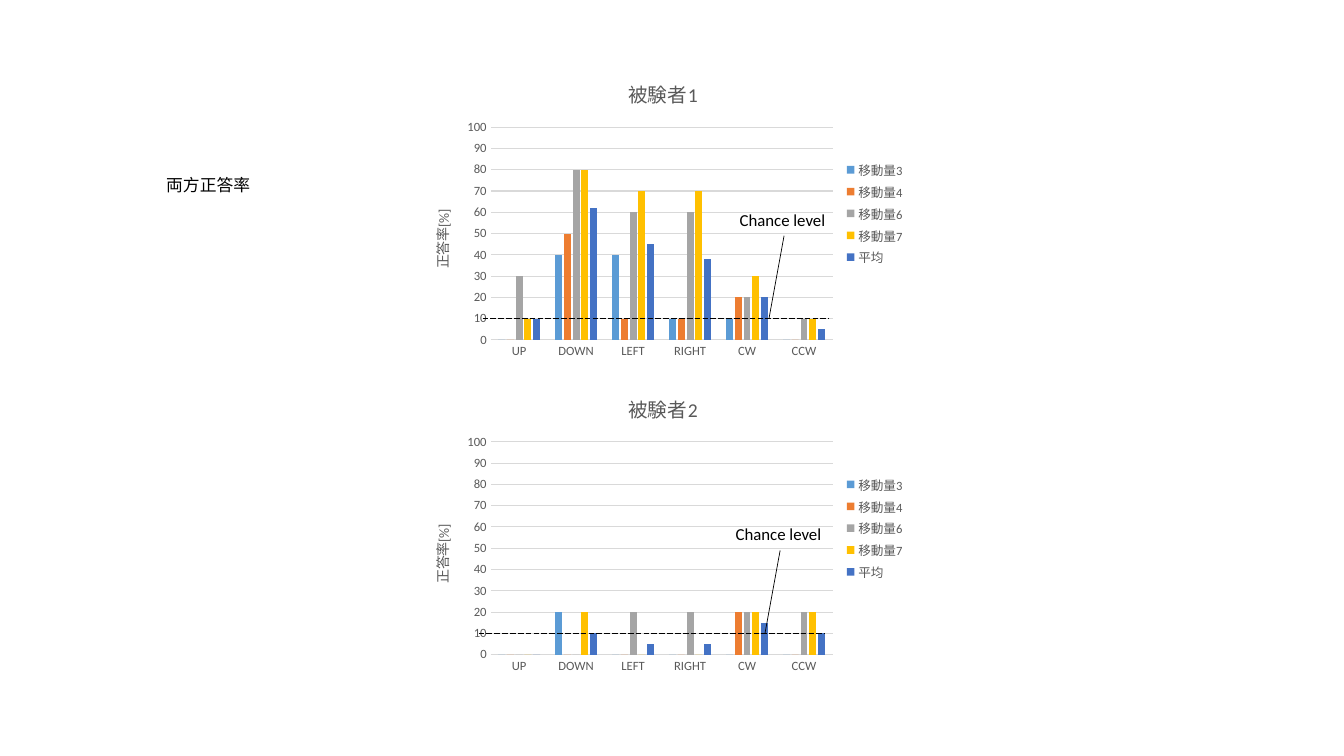
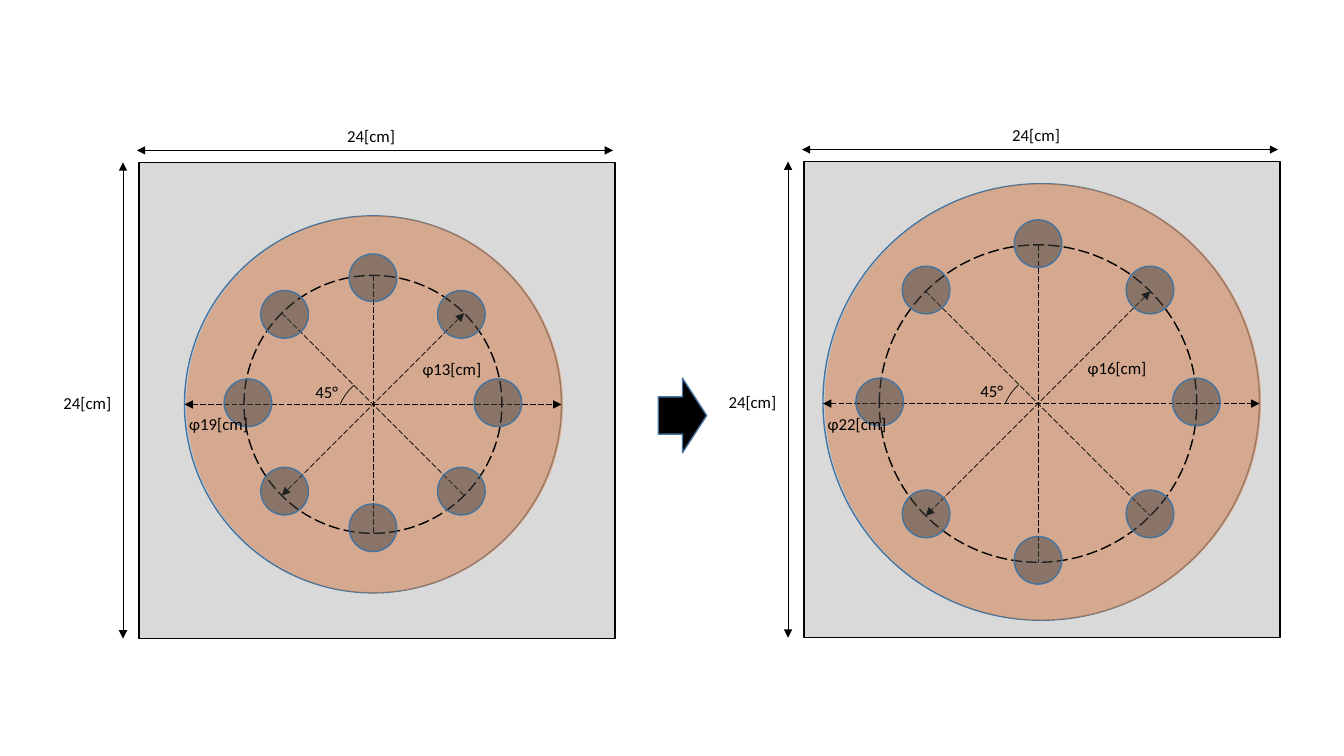
from dataclasses import dataclass
from math import cos, pi, sin

from lxml import etree
from pptx import Presentation
from pptx.chart import data as cd
from pptx.dml.color import RGBColor
from pptx.enum import chart as ce, dml, shapes
from pptx.oxml.ns import qn
from pptx.util import Cm, Pt


@dataclass(frozen=True)
class Theme:
    font: str = "Calibri"
    black: str = "000000"
    gray: str = "595959"
    grid: str = "D9D9D9"
    edge: str = "43739E"
    disc: str = "BDD7EE"
    tint: str = "ED7D31"
    spot: str = "404040"
    bars: tuple = ("5B9BD5", "ED7D31", "A5A5A5", "FFC000", "4472C4")
    head: float = 14
    body: float = 12
    axis: float = 10
    tick: float = 9
    thin: float = 0.5
    rule: float = 0.75
    thick: float = 1


T = Theme()
CATS = ("UP", "DOWN", "LEFT", "RIGHT", "CW", "CCW")
MOVES = ("移動量3", "移動量4", "移動量6", "移動量7")
FIRST = ((0, 40, 40, 10, 10, 0), (0, 50, 10, 10, 20, 0),
         (30, 80, 60, 60, 20, 10), (10, 80, 70, 70, 30, 10))
SECOND = ((0, 20, 0, 0, 0, 0), (0, 0, 0, 0, 20, 0),
          (0, 0, 20, 20, 20, 20), (0, 20, 0, 0, 20, 20))
SCALE = 0.5  # drawn cm per real cm


# Text and lines
def style(font, size, color):
    font.name, font.size, font.bold = T.font, Pt(size), False
    font.color.rgb = RGBColor.from_string(color)


def write(frame, words, size, color):
    par = frame.paragraphs[0]
    run = par.add_run()
    run.text = words
    style(run.font, size, color)
    return par


def label(slide, words, x, y, w, h, tight=False):
    frame = slide.shapes.add_textbox(Cm(x), Cm(y), Cm(w), Cm(h)).text_frame
    frame.word_wrap = True
    par = write(frame, words, T.body, T.black)
    if tight:
        par.line_spacing = 0.9


def ink(line, color, width, dash=False):
    line.color.rgb = RGBColor.from_string(color)
    line.width = Pt(width)
    if dash:
        line.dash_style = dml.MSO_LINE.LONG_DASH


def stroke(slide, x1, y1, x2, y2, dash=False, tips=False):
    item = slide.shapes.add_connector(
        shapes.MSO_CONNECTOR.STRAIGHT, Cm(x1), Cm(y1), Cm(x2), Cm(y2))
    ink(item.line, T.black, T.thin, dash)
    props = item.element.spPr
    if tips:
        for end in ("a:headEnd", "a:tailEnd"):
            etree.SubElement(props.find(qn("a:ln")), qn(end), type="triangle")
    etree.SubElement(props, qn("a:effectLst"))


# Filled shapes
def form(slide, kind, x, y, w, h, fill=None, edge=None,
         width=T.thick, dash=False, clear=False):
    item = slide.shapes.add_shape(kind, Cm(x), Cm(y), Cm(w), Cm(h))
    item.shadow.inherit = False
    if fill:
        item.fill.solid()
        item.fill.fore_color.rgb = RGBColor.from_string(fill)
    else:
        item.fill.background()
    if clear:
        tone = item.element.spPr.find(".//" + qn("a:srgbClr"))
        etree.SubElement(tone, qn("a:alpha"), val="50000")
    if edge:
        ink(item.line, edge, width, dash)
    else:
        item.line.fill.background()
    return item


def round_at(slide, x, y, size, **look):
    form(slide, shapes.MSO_SHAPE.OVAL, x - size / 2, y - size / 2,
         size, size, **look)


# Bar chart with its chance level
def bars(slide, name, rows, x, y):
    data = cd.CategoryChartData()
    data.categories = CATS
    for move, row in zip(MOVES, rows):
        data.add_series(move, row)
    data.add_series("平均", [round(sum(col) / len(col)) for col in zip(*rows)])
    chart = slide.shapes.add_chart(
        ce.XL_CHART_TYPE.COLUMN_CLUSTERED,
        Cm(x), Cm(y), Cm(12.7), Cm(7.62), data).chart
    style(chart.font, T.axis, T.black)
    chart.has_title = True
    write(chart.chart_title.text_frame, name, T.head, T.gray)

    chart.has_legend = True
    chart.legend.position = ce.XL_LEGEND_POSITION.RIGHT
    chart.legend.include_in_layout = False
    style(chart.legend.font, T.tick, T.gray)

    plot = chart.plots[0]
    plot.gap_width, plot.overlap = 219, -27
    plot.vary_by_categories = False
    for series, color in zip(plot.series, T.bars):
        series.format.fill.solid()
        series.format.fill.fore_color.rgb = RGBColor.from_string(color)

    cat, val = chart.category_axis, chart.value_axis
    for axis in (cat, val):
        axis.major_tick_mark = axis.minor_tick_mark = ce.XL_TICK_MARK.NONE
        style(axis.tick_labels.font, T.tick, T.gray)
    ink(cat.format.line, T.grid, T.rule)
    val.format.line.fill.background()
    val.minimum_scale, val.maximum_scale, val.major_unit = 0, 100, 10
    val.has_major_gridlines = True
    ink(val.major_gridlines.format.line, T.grid, T.rule)
    frame = val.axis_title.text_frame
    write(frame, "正答率[%]", T.axis, T.gray)
    frame._txBody.bodyPr.set("rot", "-5400000")


def chance(slide, x, y):
    level = y + 6.45
    stroke(slide, x + 1.8, level, x + 10.52, level, dash=True)
    label(slide, "Chance level", x + 8.03, y + 3.58, 2.72, 0.76)
    stroke(slide, x + 9.4, y + 4.37, x + 9.02, level)


# Square plate with a disc and a ring of eight spots around (x, y)
def plate(slide, x, y, disc, ring, reach, shift):
    side, span, gap = 24 * SCALE, disc * SCALE, ring * SCALE
    left, top = x - 5.9, y - 6.1
    form(slide, shapes.MSO_SHAPE.RECTANGLE, left, top, side, side,
         fill=T.grid, edge=T.black)
    mid = x + shift
    round_at(slide, mid, y - shift / 2, span, fill=T.disc, edge=T.edge)
    round_at(slide, mid + 0.04, y - shift / 2, span, fill=T.tint, clear=True)

    # Axes of the ring
    half, diag = gap / 2, gap / 2 * cos(pi / 4)
    stroke(slide, mid - span / 2, y, mid + span / 2, y, dash=True, tips=True)
    stroke(slide, x, y - half, x, y + half, dash=True)
    stroke(slide, x - diag, y - diag, x + diag, y + diag, dash=True)
    stroke(slide, x + diag, y - diag, x - diag, y + diag, dash=True, tips=True)
    round_at(slide, x, y, gap, edge=T.black, dash=True)
    for step in range(8):
        turn = step * pi / 4
        round_at(slide, x + reach * cos(turn), y - 0.04 + reach * sin(turn),
                 1.2, fill=T.spot, edge=T.edge, clear=True)

    # Angle mark
    arc = form(slide, shapes.MSO_SHAPE.ARC, x - 0.92, y - 0.79, 2.54, 2.54,
               edge=T.black, width=T.thin)
    arc.adjustments[0], arc.adjustments[1] = 162, 178.2
    arc.rotation = 291.9

    # Dimensions
    stroke(slide, left - 0.05, y - 6.4, left - 0.05 + side, y - 6.4, tips=True)
    stroke(slide, x - 6.3, top, x - 6.3, top + side, tips=True)
    for words, dx, dy, w in (
            (f"φ{ring}[cm]", 1, -1.22, 2.15),
            ("45°", -1.7, -0.64, 1.42),
            ("24[cm]", -0.9, -7.1, 1.83),
            ("24[cm]", -8.05, -0.36, 1.83),
            (f"φ{disc}[cm]", -span / 2 - 0.13 + shift, 0.18, 2.15)):
        label(slide, words, x + dx, y + dy, w, 0.64, tight=True)


def main():
    deck = Presentation()
    deck.slide_width, deck.slide_height = Cm(33.87), Cm(19.05)
    blank = deck.slide_layouts[6]

    # Accuracy of both subjects
    page = deck.slides.add_slide(blank)
    x, tops = 10.36, (1.57, 9.5)
    for num, (rows, y) in enumerate(zip((FIRST, SECOND), tops), 1):
        bars(page, f"被験者{num}", rows, x, y)
    label(page, "両方正答率", 3.94, 4.27, 3.48, 0.76)
    for num, y in enumerate(tops):
        chance(page, x - 0.1 * num, y)

    # Plate before and after
    page = deck.slides.add_slide(blank)
    plate(page, 9.4, 10.19, disc=19, ring=13, reach=3.15, shift=0)
    plate(page, 26.16, 10.17, disc=22, ring=16, reach=3.99, shift=0.08)
    form(page, shapes.MSO_SHAPE.RIGHT_ARROW, 16.59, 9.53, 1.22, 1.88,
         fill=T.black, edge=T.edge)

    deck.save("out.pptx")


if __name__ == "__main__":
    main()
